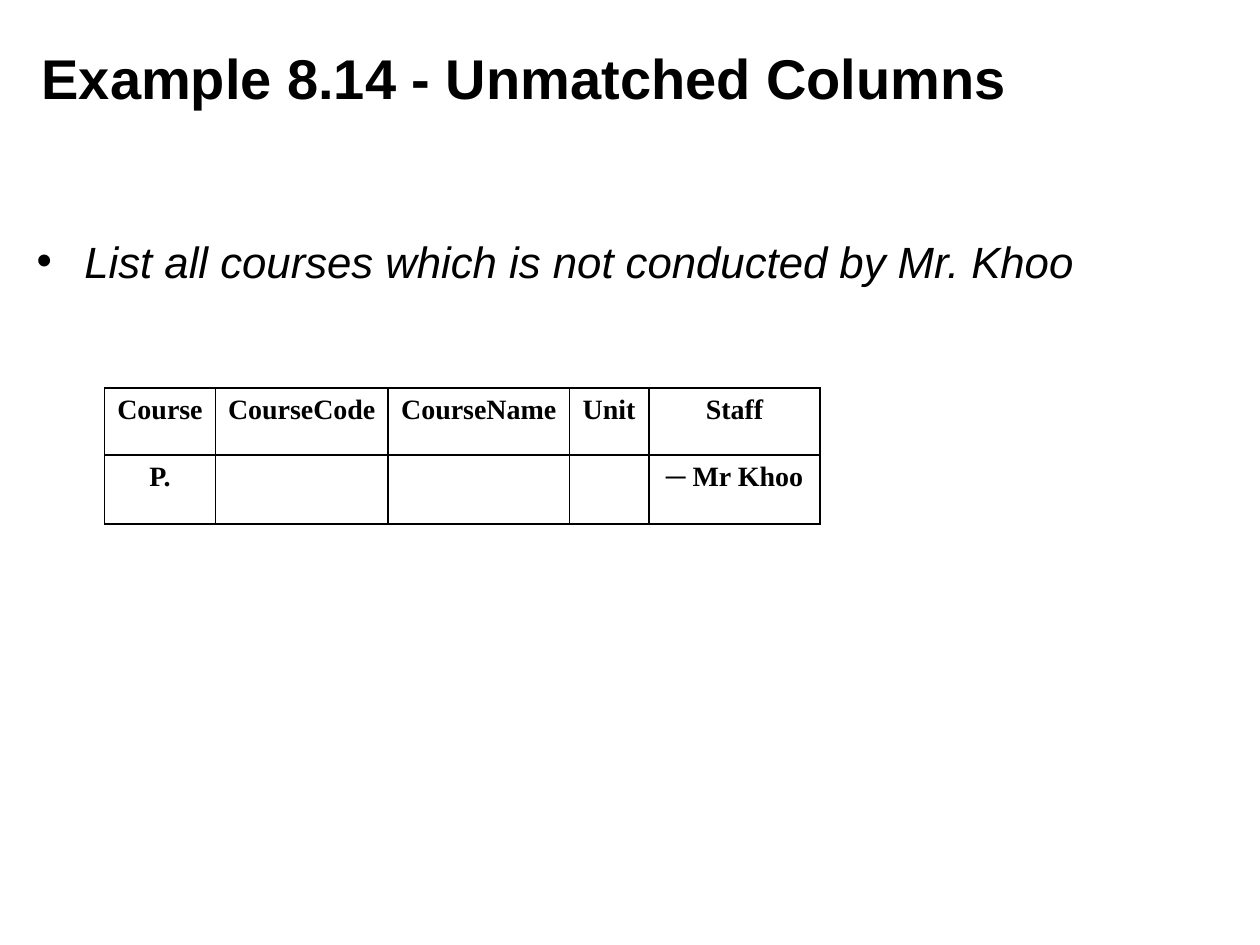
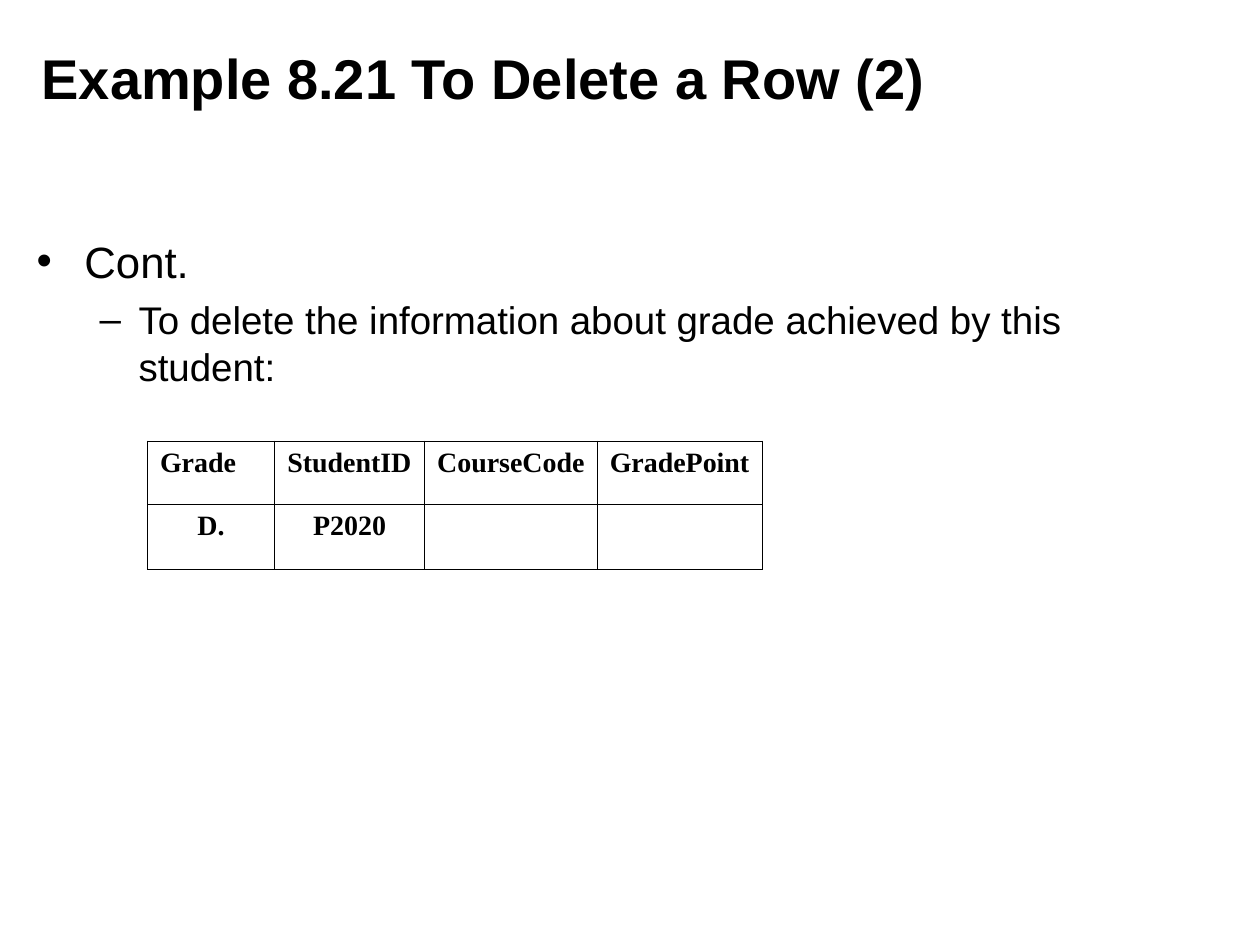
from dataclasses import dataclass

from lxml.etree import SubElement
from pptx import Presentation
from pptx.dml.color import RGBColor
from pptx.enum.text import MSO_ANCHOR as Anchor, MSO_AUTO_SIZE as AutoSize, PP_ALIGN as Align
from pptx.oxml.ns import qn
from pptx.util import Inches, Pt


@dataclass(frozen=True)
class Theme:
    """Colours, fonts and type sizes shared by the slides."""
    ink: str = "000000"
    paper: str = "FFFFFF"
    sans: str = "Arial"
    serif: str = "Times New Roman"
    title_size: float = 32
    cell_size: float = 16
    level_sizes: tuple = (25, 22)
    level_indents: tuple = ((0.38, -0.38), (0.81, -0.31))
    level_bullets: tuple = ("•", "–")
    level_space: tuple = (6.2, 5.5)


THEME = Theme()


def add_run(paragraph, text, size, font=THEME.sans, bold=False, italic=False):
    """Append one formatted run to a paragraph."""
    run = paragraph.add_run()
    run.text = text
    run.font.name = font
    run.font.size = Pt(size)
    run.font.bold = bold
    run.font.italic = italic
    run.font.color.rgb = RGBColor.from_string(THEME.ink)


def place(placeholder, left, top, width, height, anchor):
    """Move a placeholder and return its text frame, ready for text."""
    placeholder.left, placeholder.top = Inches(left), Inches(top)
    placeholder.width, placeholder.height = Inches(width), Inches(height)
    frame = placeholder.text_frame
    frame.auto_size = AutoSize.NONE
    frame.word_wrap = True
    frame.vertical_anchor = anchor
    return frame


def add_titled_slide(deck, heading):
    """Add a white slide with its heading."""
    slide = deck.slides.add_slide(deck.slide_layouts[1])
    slide.background.fill.solid()
    slide.background.fill.fore_color.rgb = RGBColor.from_string(THEME.paper)
    frame = place(slide.shapes.title, 0.23, 0.15, 8.03, 0.93, Anchor.MIDDLE)
    paragraph = frame.paragraphs[0]
    paragraph.alignment = Align.LEFT
    add_run(paragraph, heading, THEME.title_size, bold=True)
    return slide


def set_bullet(paragraph, level):
    """Give a paragraph the indent and bullet of its level."""
    paragraph.level = level
    properties = paragraph._p.get_or_add_pPr()
    margin, indent = THEME.level_indents[level]
    properties.set("marL", str(Inches(margin)))
    properties.set("indent", str(Inches(indent)))
    SubElement(properties, qn("a:buFont"), typeface=THEME.sans)
    SubElement(properties, qn("a:buChar"), char=THEME.level_bullets[level])


def fill_body(slide, width, points, italic=False):
    """Write (level, text) points into the body placeholder."""
    frame = place(slide.placeholders[1], 0.19, 1.81, width, 4.82, Anchor.TOP)
    for index, (level, text) in enumerate(points):
        paragraph = frame.add_paragraph() if index else frame.paragraphs[0]
        set_bullet(paragraph, level)
        paragraph.space_before = Pt(THEME.level_space[level] if index else 0)
        add_run(paragraph, text, THEME.level_sizes[level], italic=italic)


def set_borders(cell, weight):
    """Draw a solid line on the four sides of a cell."""
    properties = cell._tc.get_or_add_tcPr()
    for index, side in enumerate(("lnL", "lnR", "lnT", "lnB")):
        line = properties.makeelement(qn(f"a:{side}"), {"w": str(Pt(weight))})
        fill = SubElement(line, qn("a:solidFill"))
        SubElement(fill, qn("a:srgbClr"), val=THEME.ink)
        properties.insert(index, line)


def add_query_grid(slide, left, top, widths, heights, rows, aligns, weight):
    """Add a query table; each cell is a list of (text, font) runs."""
    grid = slide.shapes.add_table(
        len(heights), len(widths), Inches(left), Inches(top),
        Inches(sum(widths)), Inches(sum(heights))).table
    grid.first_row = grid.horz_banding = False
    for column, width in zip(grid.columns, widths):
        column.width = Inches(width)
    for grid_row, height, entries, align in zip(grid.rows, heights, rows, aligns):
        grid_row.height = Inches(height)
        for cell, runs in zip(grid_row.cells, entries):
            cell.fill.background()
            set_borders(cell, weight)
            paragraph = cell.text_frame.paragraphs[0]
            paragraph.alignment = align
            for text, font in runs:
                add_run(paragraph, text, THEME.cell_size, font, bold=True)


def serif_cells(*texts):
    """Turn plain texts into table cells, leaving empty ones without runs."""
    return [[(text, THEME.serif)] if text else [] for text in texts]


def build_unmatched_columns(deck):
    """Build the example that excludes one lecturer."""
    slide = add_titled_slide(deck, "Example 8.14 - Unmatched Columns")
    fill_body(slide, 8.64, [(0, "List all courses which is not conducted by Mr. Khoo")],
              italic=True)
    not_khoo = [("─", THEME.sans), (" Mr Khoo", THEME.serif)]
    rows = [serif_cells("Course", "CourseCode", "CourseName", "Unit", "Staff"),
            serif_cells("P.", "", "", "") + [not_khoo]]
    add_query_grid(slide, 0.83, 3.08, (0.88, 1.37, 1.44, 0.63, 1.36), (0.53, 0.55),
                   rows, (Align.CENTER, Align.CENTER), 0.96)


def build_delete_row(deck):
    """Build the example that deletes a student's grade."""
    slide = add_titled_slide(deck, "Example 8.21 To Delete a Row (2)")
    fill_body(slide, 8.81, [
        (0, "Cont."),
        (1, "To delete the information about grade achieved by this student:")])
    rows = [serif_cells("Grade", "StudentID", "CourseCode", "GradePoint"),
            serif_cells("D.", "P2020", "", "")]
    add_query_grid(slide, 1.17, 3.5, (1.01, 1.19, 1.37, 1.31), (0.5, 0.52),
                   rows, (Align.JUSTIFY, Align.CENTER), 0.45)


def main():
    """Build and save the deck."""
    deck = Presentation()
    deck.slide_width, deck.slide_height = Inches(10), Inches(7.5)
    build_unmatched_columns(deck)
    build_delete_row(deck)
    deck.save("out.pptx")


if __name__ == "__main__":
    main()
